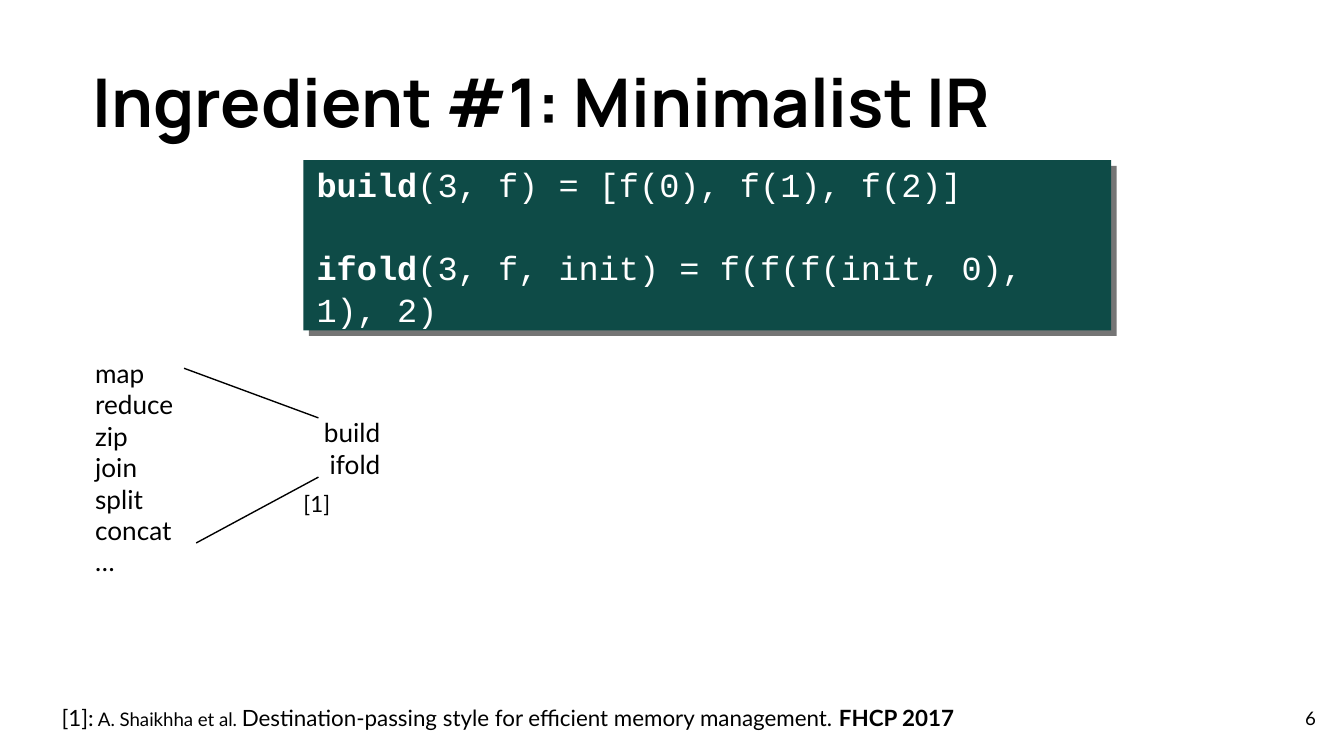
"""Build the slide on a minimalist intermediate representation."""
import pptx
import pptx.dml.color
import pptx.enum.shapes
import pptx.enum.text
import pptx.oxml.ns
import pptx.util
from lxml import etree

Pt = pptx.util.Pt
ALIGN = pptx.enum.text.PP_ALIGN
ANCHOR = pptx.enum.text.MSO_ANCHOR
RECTANGLE = pptx.enum.shapes.MSO_SHAPE.RECTANGLE
STRAIGHT = pptx.enum.shapes.MSO_CONNECTOR.STRAIGHT


def rgb(value):
    return pptx.dml.color.RGBColor.from_string(value)


def write(shape, paragraphs, font="Lato", color="000000", align=ALIGN.LEFT, anchor=ANCHOR.TOP):
    frame = shape.text_frame
    frame.word_wrap = True
    frame.vertical_anchor = anchor
    frame.margin_left = frame.margin_right = Pt(7.2)
    frame.margin_top = frame.margin_bottom = Pt(7.2)
    for index, pieces in enumerate(paragraphs):
        paragraph = frame.add_paragraph() if index else frame.paragraphs[0]
        paragraph.alignment = align
        paragraph.text = pieces[0][0]
        for text, size, bold in pieces[1:]:
            paragraph.add_run().text = text
        styles = pieces if len(pieces) > 1 else pieces * len(paragraph.runs)
        for run, (text, size, bold) in zip(paragraph.runs, styles):
            run.font.name = font
            run.font.size = Pt(size)
            run.font.bold = bold
            run.font.color.rgb = rgb(color)
    return frame


deck = pptx.Presentation()
deck.slide_width, deck.slide_height = Pt(720), Pt(405)
slide = deck.slides.add_slide(deck.slide_layouts[6])
shapes = slide.shapes

code_left, code_top, code_width, code_height = 162.5, 85.8, 432.7, 91.2
for offset, fill in ((3, "757575"), (0, "0E4B47")):
    code = shapes.add_shape(RECTANGLE, Pt(code_left + offset), Pt(code_top + offset),
                            Pt(code_width), Pt(code_height))
    code.shadow.inherit = False
    code.fill.solid()
    code.fill.fore_color.rgb = rgb(fill)
    code.line.fill.background()

definitions = write(code, [
    [("build", 18, True), ("(3, f) = [f(0), f(1), f(2)]", 18, False)],
    [("ifold", 18, True), ("(3, f, init) = f(f(f(init, 0), 1), 2)", 18, False)],
], font="Courier New", color="FFFFFF", anchor=ANCHOR.MIDDLE)
for definition in definitions.paragraphs:
    definition.line_spacing = 1.06
definitions.paragraphs[1].space_before = Pt(21.6)

title = shapes.add_textbox(Pt(42.5), Pt(25.2), Pt(604.8), Pt(60.5))
write(title, [[("Ingredient #1: Minimalist IR", 36, True)]], font="Manrope")

page_number = shapes.add_textbox(Pt(668.9), Pt(369.4), Pt(43.2), Pt(31))
write(page_number, [[("6", 10, False)]], align=ALIGN.RIGHT, anchor=ANCHOR.MIDDLE)

operations = shapes.add_textbox(Pt(43.9), Pt(184.3), Pt(77), Pt(133.2))
names = ("map", "reduce", "zip", "join", "split", "concat", "…")
write(operations, [[(name, 14, False)] for name in names])

primitives = shapes.add_textbox(Pt(133.9), Pt(216), Pt(77), Pt(48.2))
write(primitives, [[(name, 14, False)] for name in ("build", "ifold")], align=ALIGN.RIGHT)

for start_x, start_y, end_y in ((105.1, 290.9, 255.6), (98.6, 197.3, 223.9)):
    funnel = shapes.add_connector(STRAIGHT, Pt(start_x), Pt(start_y), Pt(170.6), Pt(end_y))
    funnel.line.color.rgb = rgb("000000")
    funnel.line.width = Pt(0.75)
    etree.SubElement(funnel._element.spPr, pptx.oxml.ns.qn("a:effectLst"))

reference = shapes.add_textbox(Pt(25.9), Pt(370.1), Pt(645.8), Pt(28.8))
write(reference, [[
    ("[1]:", 12, False),
    (" A. Shaikhha et al. ", 10, False),
    ("Destination-passing style for efficient memory management. ", 12, False),
    ("FHCP 2017", 12, True),
]])

citation = shapes.add_textbox(Pt(155.5), Pt(255.6), Pt(38.9), Pt(28.8))
write(citation, [[("[1]", 12, False)]])

deck.save("out.pptx")
